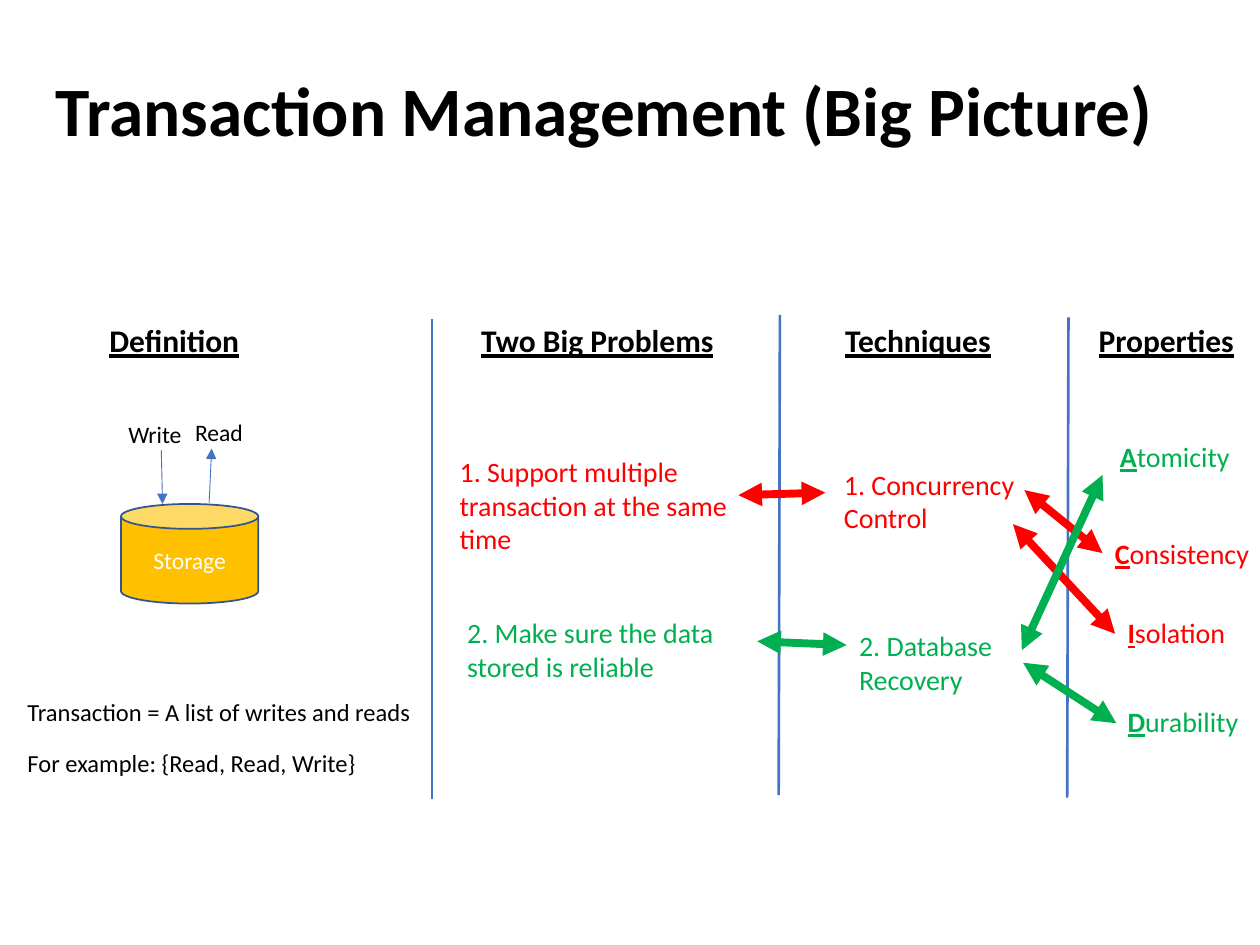
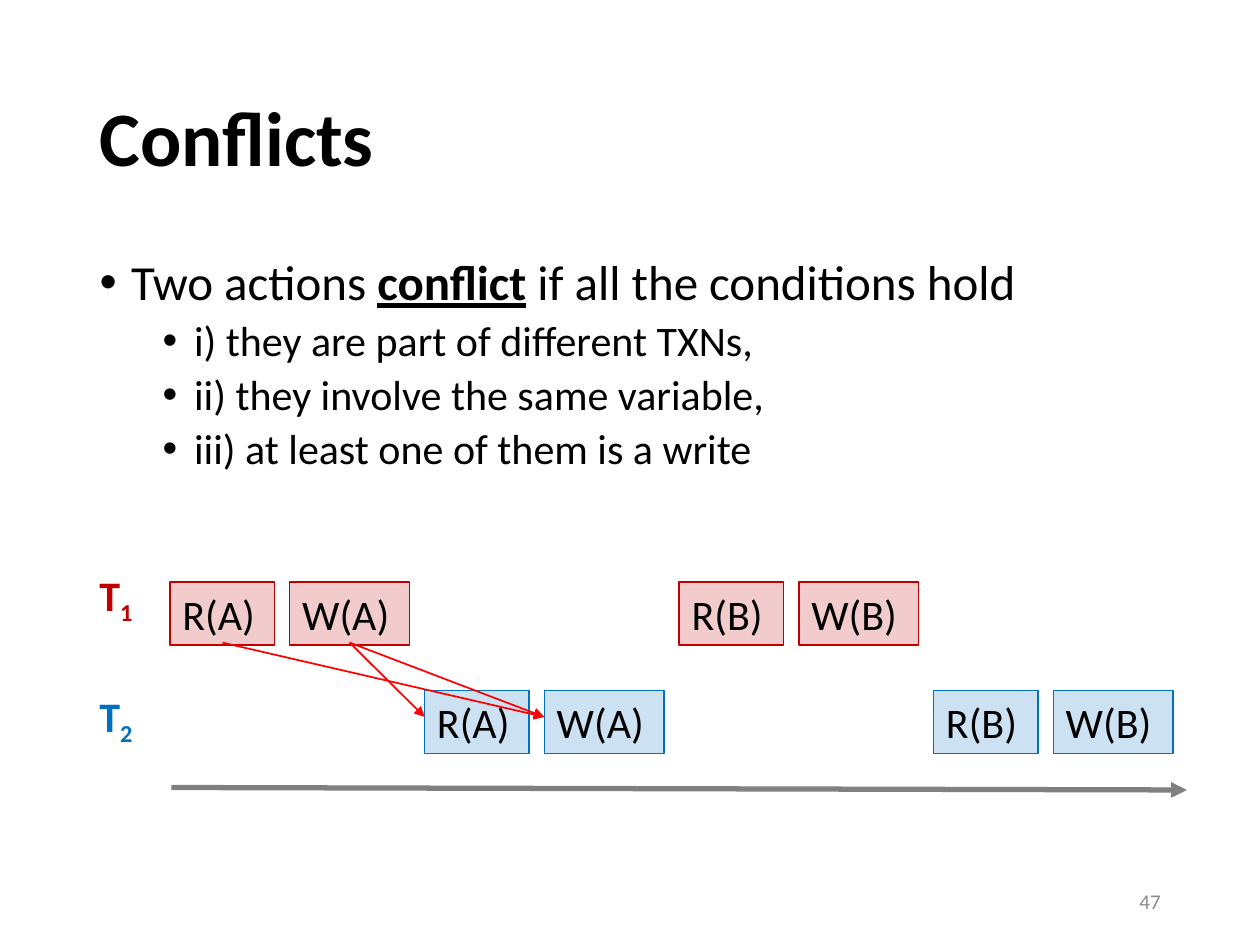
from dataclasses import dataclass

from lxml import etree
from pptx import Presentation
from pptx.dml.color import RGBColor
from pptx.enum import shapes, text
from pptx.oxml import ns
from pptx.util import Inches, Pt


@dataclass(frozen=True)
class Theme:
    font: str = "Calibri"
    black: str = "000000"
    white: str = "FFFFFF"
    red: str = "FF0000"
    green: str = "00B050"
    blue: str = "4472C4"
    storage_fill: str = "FFC000"
    storage_line: str = "325491"
    first_txn: str = "C00000"
    second_txn: str = "0070C0"
    time_axis: str = "808080"
    page_number: str = "8C8C8C"
    title: float = 44
    wide_title: float = 39.6
    bullet: float = 28
    large: float = 24
    heading: float = 18
    topic: float = 16
    note: float = 14
    label: float = 13.5
    page: float = 12


THEME = Theme()
STRONG = {"bold": True, "underline": True}

# Big picture: boxes are (left, top, width, height), lines (from, to)
BIG_PICTURE_TITLE = "Transaction Management (Big Picture)"
HEADING_TOP, HEADING_HEIGHT = 2.5, 0.4
HEADINGS = [
    ("Definition", 0.77, 1.24),
    ("Two Big Problems", 3.72, 2.06),
    ("Techniques", 6.61, 1.36),
    ("Properties", 8.62, 1.28),
]
DIVIDER_HEIGHT = 3.81
DIVIDERS = [(3.43, 3.43, 2.53), (6.19, 6.18, 2.5), (8.48, 8.47, 2.52)]
STORAGE = ("Storage", (0.96, 4, 1.09, 0.79))
DEFINITION_LABELS = [
    ("Write", (0.92, 3.28, 0.63, 0.33), THEME.label),
    ("Read", (1.45, 3.27, 0.59, 0.33), THEME.label),
    ("Transaction = A list of writes and reads", (0.12, 5.48, 3.27, 0.34), THEME.note),
    ("For example: {Read, Read, Write}", (0.12, 5.89, 2.83, 0.34), THEME.note),
]
STORAGE_ACCESS = [((1.28, 3.57), (1.29, 4)), ((1.66, 3.99), (1.68, 3.56))]
TOPICS = [
    ("1. Support multiple transaction at the same time", (3.55, 3.56, 2.46, 0.91), THEME.red),
    ("2. Make sure the data stored is reliable", (3.61, 4.84, 2.26, 0.64), THEME.green),
    ("1. Concurrency Control", (6.6, 3.66, 1.7, 0.64), THEME.red),
    ("2. Database Recovery", (6.72, 4.94, 1.4, 0.64), THEME.green),
]
PROPERTIES = [
    ("Atomicity", (8.79, 3.44, 1.08, 0.37), THEME.green),
    ("Consistency", (8.75, 4.21, 1.28, 0.37), THEME.red),
    ("Isolation", (8.85, 4.84, 0.99, 0.37), THEME.red),
    ("Durability", (8.85, 5.54, 1.09, 0.37), THEME.green),
]
RELATIONS = [
    ((5.86, 3.93), (6.55, 3.91), THEME.red),
    ((8.13, 3.89), (8.75, 4.39), THEME.red),
    ((8.04, 4.16), (8.85, 5.03), THEME.red),
    ((8.11, 5.16), (8.75, 3.77), THEME.green),
    ((8.12, 5.26), (8.86, 5.74), THEME.green),
    ((6.01, 5.09), (6.72, 5.12), THEME.green),
]

# Conflicts: each transaction takes alternate turns on the schedule
CONFLICTS_TITLE = "Conflicts"
DEFINITION = ["Two actions ", ("conflict", STRONG), " if all the conditions hold"]
CONDITIONS = [
    "i) they are part of different TXNs,",
    "ii) they involve the same variable,",
    "iii) at least one of them is a write",
]
PAGE_NUMBER = "47"
TRANSACTIONS = [
    # number, colour, label top, action top, turns
    ("1", THEME.first_txn, 4.47, 4.62, [(0, "A"), (2, "B")]),
    ("2", THEME.second_txn, 5.43, 5.48, [(1, "A"), (3, "B")]),
]
ACTIONS = [("R", 0, 0.83), ("W", 0.95, 0.95)]  # name, offset in turn, width
TURN_LEFT, TURN_PITCH, ACTION_HEIGHT = 1.35, 2.02, 0.5
CONFLICT_PAIRS = [("W(A)", "R(A)"), ("R(A)", "W(A)"), ("W(A)", "W(A)")]
TIME_AXIS = ((1.36, 6.25), (9.42, 6.27))


def rgb(color):
    return RGBColor.from_string(color)


def place(shape, box):
    shape.left, shape.top, shape.width, shape.height = map(Inches, box)


def write(paragraph, runs, *, size, color=THEME.black, bold=False, underline=False,
          align=text.PP_ALIGN.LEFT, line_spacing=None, space_before=0, bullet_left=None):
    """Fill a paragraph; a run is a string or (string, overrides of its format)."""
    if bullet_left is not None:
        properties = paragraph._p.get_or_add_pPr()
        properties.set("marL", str(Inches(bullet_left)))
        properties.set("indent", str(Inches(-0.25)))
        etree.SubElement(properties, ns.qn("a:buFont"), typeface="Arial")
        etree.SubElement(properties, ns.qn("a:buChar"), char="•")
    paragraph.alignment = align
    paragraph.space_before = Pt(space_before)
    if line_spacing:
        paragraph.line_spacing = line_spacing
    for part in [runs] if isinstance(runs, str) else runs:
        words, changes = (part, {}) if isinstance(part, str) else part
        look = {"bold": bold, "underline": underline, **changes}
        run = paragraph.add_run()
        run.text = words
        run.font.name = THEME.font
        run.font.size = Pt(size)
        run.font.color.rgb = rgb(color)
        run.font.bold = look["bold"]
        run.font.underline = look["underline"]
        if "baseline" in look:
            run.font._element.set("baseline", str(look["baseline"]))


def add_text(slide, runs, box, wrap=False, anchor=text.MSO_ANCHOR.TOP, **look):
    label = slide.shapes.add_textbox(*map(Inches, box))
    label.text_frame.word_wrap = wrap
    label.text_frame.vertical_anchor = anchor
    write(label.text_frame.paragraphs[0], runs, **look)


def add_block(slide, preset, runs, box, fill, line, line_width, anchor, alpha=None, **look):
    block = slide.shapes.add_shape(preset, *map(Inches, box))
    block.shadow.inherit = False
    block.fill.solid()
    block.fill.fore_color.rgb = rgb(fill)
    if alpha:
        color = block._element.spPr.find(".//" + ns.qn("a:srgbClr"))
        etree.SubElement(color, ns.qn("a:alpha"), val=str(alpha * 1000))
    block.line.color.rgb = rgb(line)
    block.line.width = Pt(line_width)
    block.text_frame.vertical_anchor = anchor
    write(block.text_frame.paragraphs[0], runs, **look)


def add_line(slide, start, end, color, width, arrows=()):
    """Draw a straight line; arrows names its pointed ends, headEnd before tailEnd."""
    line = slide.shapes.add_connector(
        shapes.MSO_CONNECTOR.STRAIGHT, *map(Inches, (*start, *end)))
    line.line.color.rgb = rgb(color)
    line.line.width = Pt(width)
    for arrow in arrows:
        etree.SubElement(line.line._get_or_add_ln(), ns.qn("a:" + arrow), type="triangle")
    etree.SubElement(line._element.spPr, ns.qn("a:effectLst"))


def add_slide(deck, layout, title, box, size):
    slide = deck.slides.add_slide(deck.slide_layouts.get_by_name(layout))
    place(slide.shapes.title, box)
    frame = slide.shapes.title.text_frame
    frame.auto_size = text.MSO_AUTO_SIZE.NONE
    frame.vertical_anchor = text.MSO_ANCHOR.MIDDLE
    write(frame.paragraphs[0], title, size=size, bold=True, line_spacing=0.9)
    return slide


def build_big_picture(deck):
    slide = add_slide(deck, "Title Only", BIG_PICTURE_TITLE,
                      (0.34, 0.36, 8.95, 1.09), THEME.wide_title)
    for heading, left, width in HEADINGS:
        add_text(slide, heading, (left, HEADING_TOP, width, HEADING_HEIGHT),
                 size=THEME.heading, **STRONG)
    for top_x, bottom_x, top in DIVIDERS:
        add_line(slide, (top_x, top), (bottom_x, top + DIVIDER_HEIGHT), THEME.blue, 1.5)

    name, box = STORAGE
    add_block(slide, shapes.MSO_SHAPE.CAN, name, box, THEME.storage_fill,
              THEME.storage_line, 1, text.MSO_ANCHOR.MIDDLE, size=THEME.label,
              color=THEME.white, align=text.PP_ALIGN.CENTER)
    for start, end in STORAGE_ACCESS:
        add_line(slide, start, end, THEME.blue, 0.5, ["tailEnd"])
    for label, box, size in DEFINITION_LABELS:
        add_text(slide, label, box, size=size)

    for topic, box, color in TOPICS:
        add_text(slide, topic, box, wrap=True, size=THEME.topic, color=color)
    for name, box, color in PROPERTIES:
        add_text(slide, [(name[0], STRONG), name[1:]], box, size=THEME.topic, color=color)
    for start, end, color in RELATIONS:
        add_line(slide, start, end, color, 4.5, ["headEnd", "tailEnd"])


def build_conflicts(deck):
    slide = add_slide(deck, "Title and Content", CONFLICTS_TITLE,
                      (0.69, 0.4, 8.62, 1.45), THEME.title)
    body = slide.placeholders[1]
    place(body, (0.69, 2, 8.62, 4.76))
    frame = body.text_frame
    frame.auto_size = text.MSO_AUTO_SIZE.NONE
    write(frame.paragraphs[0], DEFINITION, size=THEME.bullet,
          line_spacing=0.9, bullet_left=0.25)
    for condition in CONDITIONS:
        paragraph = frame.add_paragraph()
        paragraph.level = 1
        write(paragraph, condition, size=THEME.large, line_spacing=0.9,
              space_before=5, bullet_left=0.75)
    add_text(slide, PAGE_NUMBER, (7.06, 6.95, 2.25, 0.4), wrap=True,
             anchor=text.MSO_ANCHOR.MIDDLE, size=THEME.page,
             color=THEME.page_number, align=text.PP_ALIGN.RIGHT)

    add_line(slide, *TIME_AXIS, THEME.time_axis, 3, ["tailEnd"])
    action_boxes = {}
    for number, color, label_top, top, turns in TRANSACTIONS:
        add_text(slide, ["T", (number, {"baseline": -25000})],
                 (0.69, label_top, 0.48, 0.5), size=THEME.large, color=color, bold=True)
        for turn, variable in turns:
            for action, offset, width in ACTIONS:
                name = f"{action}({variable})"
                box = (TURN_LEFT + turn * TURN_PITCH + offset, top, width, ACTION_HEIGHT)
                action_boxes[number, name] = box
                add_block(slide, shapes.MSO_SHAPE.RECTANGLE, name, box, color, color,
                          0.75, text.MSO_ANCHOR.TOP, alpha=20, size=THEME.large)

    for first, second in CONFLICT_PAIRS:
        left, top, width, height = action_boxes["1", first]
        target_left, target_top, _, _ = action_boxes["2", second]
        add_line(slide, (left + width / 2, top + height - 0.02),
                 (target_left, target_top + 0.21), THEME.red, 1, ["tailEnd"])


def main():
    deck = Presentation()
    deck.slide_width, deck.slide_height = Inches(10), Inches(7.5)
    build_big_picture(deck)
    build_conflicts(deck)
    deck.save("out.pptx")


if __name__ == "__main__":
    main()
